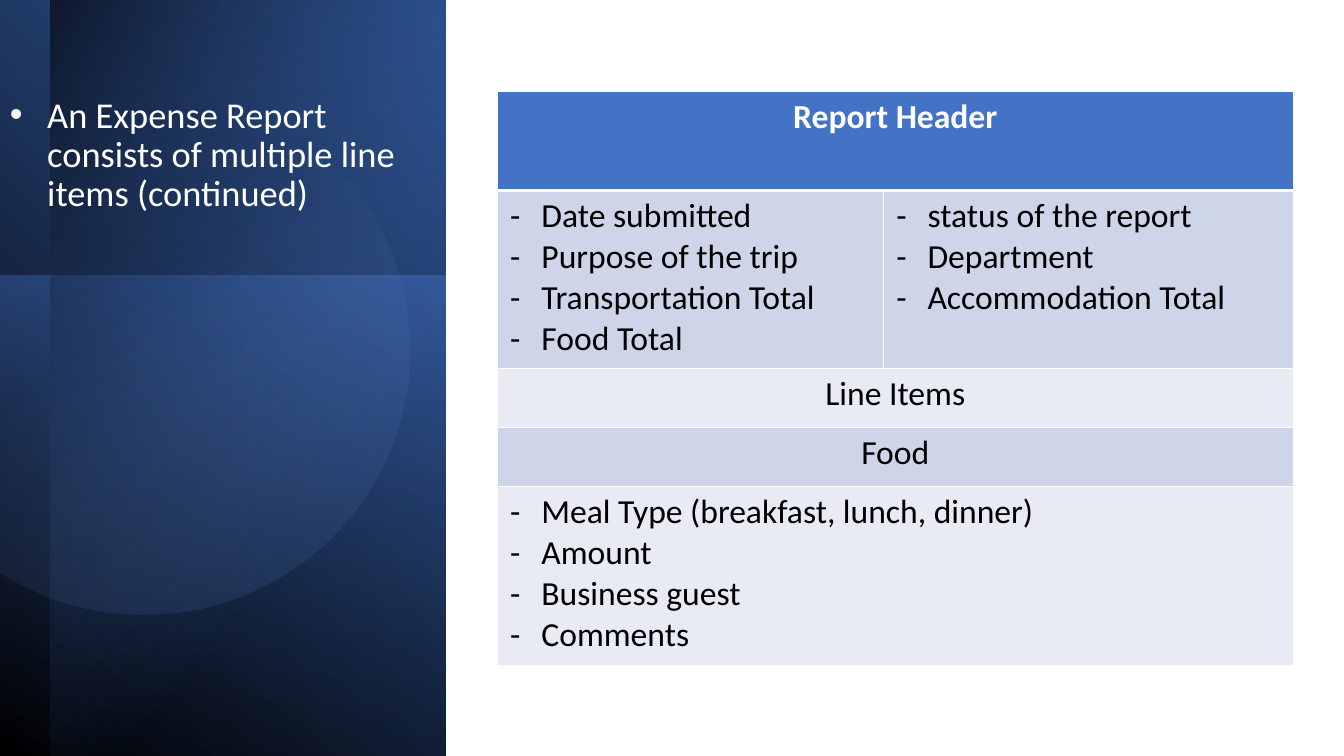
from math import cos, radians, sin, tan

from lxml import etree
from pptx import Presentation
from pptx.dml.color import RGBColor
from pptx.enum.shapes import MSO_SHAPE as Preset
from pptx.enum.text import MSO_ANCHOR as Anchor, PP_ALIGN as Align
from pptx.oxml.ns import qn
from pptx.util import Inches, Pt

COLORS = {
    "white": "FFFFFF", "black": "000000", "blue": "4472C4", "navy": "203864",
    "deep": "2F5597", "sky": "8FAADC", "band": "CFD5E9", "pale": "E8EBF4",
}
HEADER = {"size": Pt(24), "name": "Calibri", "bold": True}
BODY = {**HEADER, "bold": False}
INTRO = {**BODY, "size": Pt(26)}
CELL_MARGINS = {"margin_left": Inches(0.13), "margin_right": Inches(0.13),
                "margin_top": Inches(0.05), "margin_bottom": Inches(0.05)}
COLUMN_WIDTHS = [3.83, 4.07]
ROWS = [
    (0.98, "blue", ["Report Header"]),
    (1.77, "band", [["Date submitted", "Purpose of the trip", "Transportation Total", "Food Total"],
                    ["status of the report", "Department", "Accommodation Total"]]),
    (0.58, "pale", ["Line Items"]),
    (0.59, "band", ["Food"]),
    (1.77, "pale", [["Meal Type (breakfast, lunch, dinner)", "Amount", "Business guest", "Comments"]]),
]


def set_attributes(target, values):
    for name, value in values.items():
        setattr(target, name, value)


def add_element(parent, tag, **attributes):
    element = etree.SubElement(parent, qn(tag))
    for name, value in attributes.items():
        element.set(name, str(value))
    return element


def add_color(parent, color, alpha=100):
    element = add_element(parent, "a:srgbClr", val=COLORS[color])
    if alpha < 100:
        add_element(element, "a:alpha", val=alpha * 1000)


def fill_gradient(shape, stops, angle):
    shape.shadow.inherit = False
    shape.line.fill.background()
    shape.fill.gradient()
    gradient = shape._element.spPr.find(qn("a:gradFill"))
    for child in list(gradient):
        gradient.remove(child)
    gradient.set("rotWithShape", "1")
    stop_list = add_element(gradient, "a:gsLst")
    for position, color, alpha in stops:
        add_color(add_element(stop_list, "a:gs", pos=position * 1000), color, alpha)
    add_element(gradient, "a:lin", ang=angle * 60000, scaled=0)


def add_turned_panel(slide, box, rotation, stops, angle):
    left, top, width, height = box
    shape = slide.shapes.add_shape(
        Preset.RECTANGLE, Inches(left + (width - height) / 2), Inches(top + (height - width) / 2),
        Inches(height), Inches(width))
    shape.rotation = rotation
    fill_gradient(shape, stops, angle)


def add_cut_circle(slide, center_x, center_y, radius, half_sweep=123, curves=4):
    step = radians(2 * half_sweep / curves)
    handle = 4 / 3 * tan(step / 4)

    def locate(angle, offset):
        return (Inches(center_x + radius * (cos(angle) - offset * sin(angle))),
                Inches(center_y + radius * (sin(angle) + offset * cos(angle))))

    angles = [index * step - radians(half_sweep) for index in range(curves + 1)]
    builder = slide.shapes.build_freeform(*locate(angles[0], 0))
    for start, end in zip(angles, angles[1:]):
        builder.add_line_segments([locate(start, handle), locate(end, -handle), locate(end, 0)],
                                  close=end == angles[-1])
    shape = builder.convert_to_shape()
    lines = list(shape._element.iter(qn("a:lnTo")))
    for first in range(0, 3 * curves, 3):
        curve = etree.Element(qn("a:cubicBezTo"))
        lines[first].addprevious(curve)
        for line in lines[first:first + 3]:
            curve.append(line[0])
            line.getparent().remove(line)
    fill_gradient(shape, [(39, "sky", 0), (100, "deep", 26)], 52)


def add_side_panel(slide, left, top, width, height):
    add_turned_panel(slide, (left, top, width, height), 90,
                     [(0, "black", 100), (100, "deep", 100)], 220)
    add_turned_panel(slide, (left, top + 2.73, width, height - 2.73), 270,
                     [(0, "blue", 50), (100, "navy", 0)], 190)
    add_turned_panel(slide, (left + 0.5, top, width - 0.5, height), 270,
                     [(31, "blue", 0), (100, "black", 59)], 310)
    add_cut_circle(slide, left + 1.43, top + 3.47, 2.63)


def write_paragraph(paragraph, text, font, color):
    run = paragraph.add_run()
    run.text = text
    set_attributes(run.font, font)
    run.font.color.rgb = RGBColor.from_string(COLORS[color])


def add_bullet(paragraph, mark, color, margin):
    properties = paragraph._p.get_or_add_pPr()
    properties.set("marL", str(Inches(margin)))
    properties.set("indent", str(Inches(-margin)))
    add_color(add_element(properties, "a:buClr"), color)
    add_element(properties, "a:buFont", typeface="Arial" if mark == "•" else "Calibri")
    add_element(properties, "a:buChar", char=mark)


def add_intro(slide, left, top, width, height):
    frame = slide.shapes.add_textbox(*map(Inches, (left, top, width, height))).text_frame
    set_attributes(frame, {"word_wrap": True, "vertical_anchor": Anchor.TOP,
                           "margin_top": Inches(0.17)})
    paragraph = frame.paragraphs[0]
    set_attributes(paragraph, {"line_spacing": 0.9, "space_before": Pt(10)})
    add_bullet(paragraph, "•", "white", 0.37)
    write_paragraph(paragraph, "An Expense Report consists of multiple line items (continued)",
                    INTRO, "white")


def set_borders(cell, top, bottom):
    properties = cell._tc.get_or_add_tcPr()
    widths = {"a:lnL": 0.96, "a:lnR": 0.96, "a:lnT": top, "a:lnB": bottom}
    for tag, width in widths.items():
        line = add_element(properties, tag, w=Pt(width))
        add_color(add_element(line, "a:solidFill"), "white")


def fill_cell(cell, content):
    set_attributes(cell, CELL_MARGINS)
    is_list = isinstance(content, list)
    is_header = content == "Report Header"
    frame = cell.text_frame
    for index, text in enumerate(content if is_list else [content]):
        paragraph = frame.add_paragraph() if index else frame.paragraphs[0]
        if is_list:
            add_bullet(paragraph, "-", "black", 0.31)
        else:
            paragraph.alignment = Align.CENTER
        write_paragraph(paragraph, text, HEADER if is_header else BODY,
                        "white" if is_header else "black")


def add_report_table(slide, left, top, width, height):
    table = slide.shapes.add_table(len(ROWS), len(COLUMN_WIDTHS),
                                   *map(Inches, (left, top, width, height))).table
    for column, column_width in zip(table.columns, COLUMN_WIDTHS):
        column.width = Inches(column_width)
    for row_index, (row_height, color, contents) in enumerate(ROWS):
        table.rows[row_index].height = Inches(row_height)
        cells = [table.cell(row_index, column) for column in range(len(COLUMN_WIDTHS))]
        if len(contents) == 1:
            cells[0].merge(cells[1])
        for cell in cells:
            set_borders(cell, 3 if row_index == 1 else 0.96, 3 if row_index == 0 else 0.96)
            cell.fill.solid()
            cell.fill.fore_color.rgb = RGBColor.from_string(COLORS[color])
        for cell, content in zip(cells, contents):
            fill_cell(cell, content)


def main():
    presentation = Presentation()
    set_attributes(presentation, {"slide_width": Inches(13.33), "slide_height": Inches(7.5)})
    slide = presentation.slides.add_slide(presentation.slide_layouts[6])
    add_side_panel(slide, 0, 0, 4.42, 7.5)
    add_intro(slide, 0, 0.79, 4.42, 1.77)
    add_report_table(slide, 4.93, 0.91, 7.9, 5.69)
    presentation.save("out.pptx")


if __name__ == "__main__":
    main()
